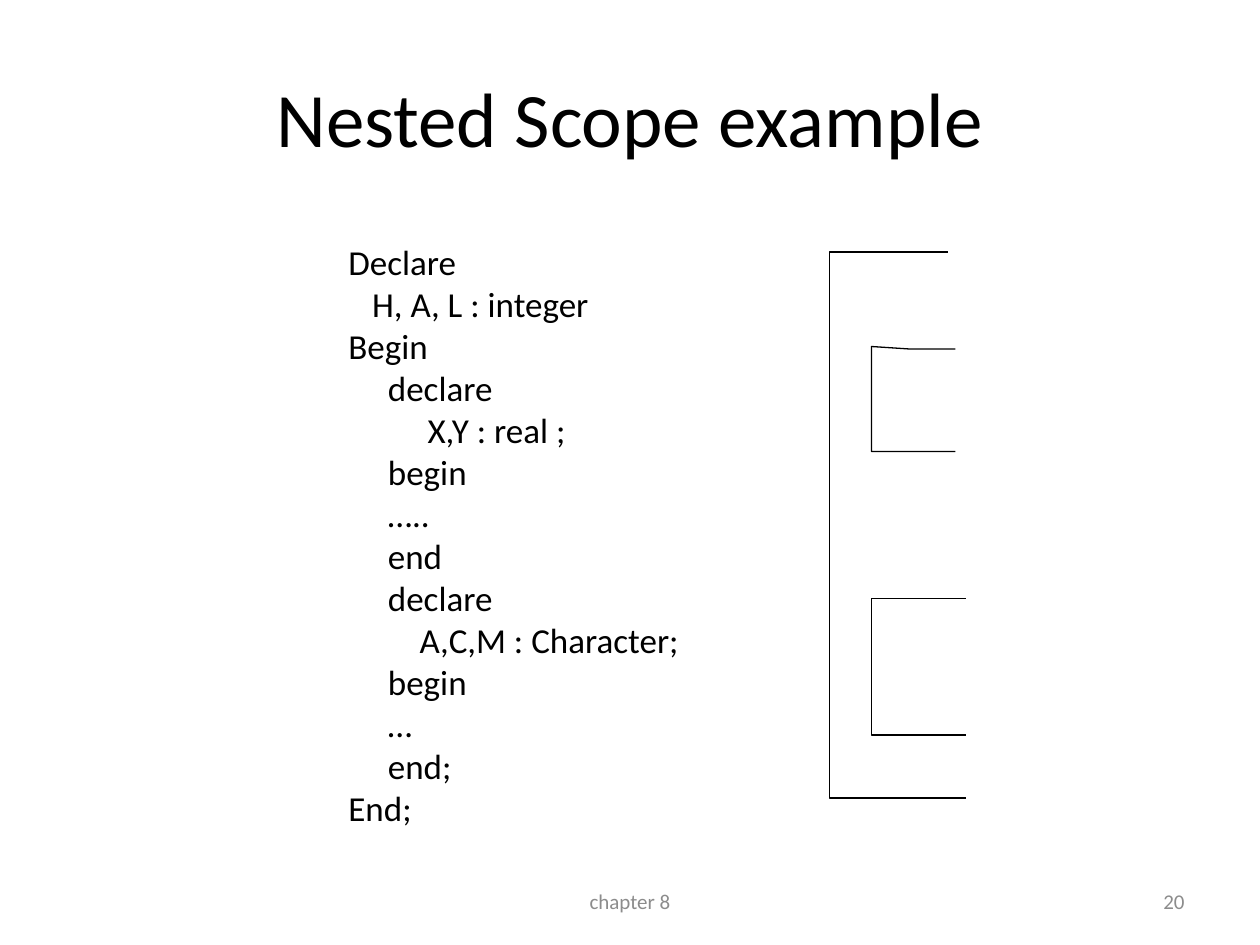
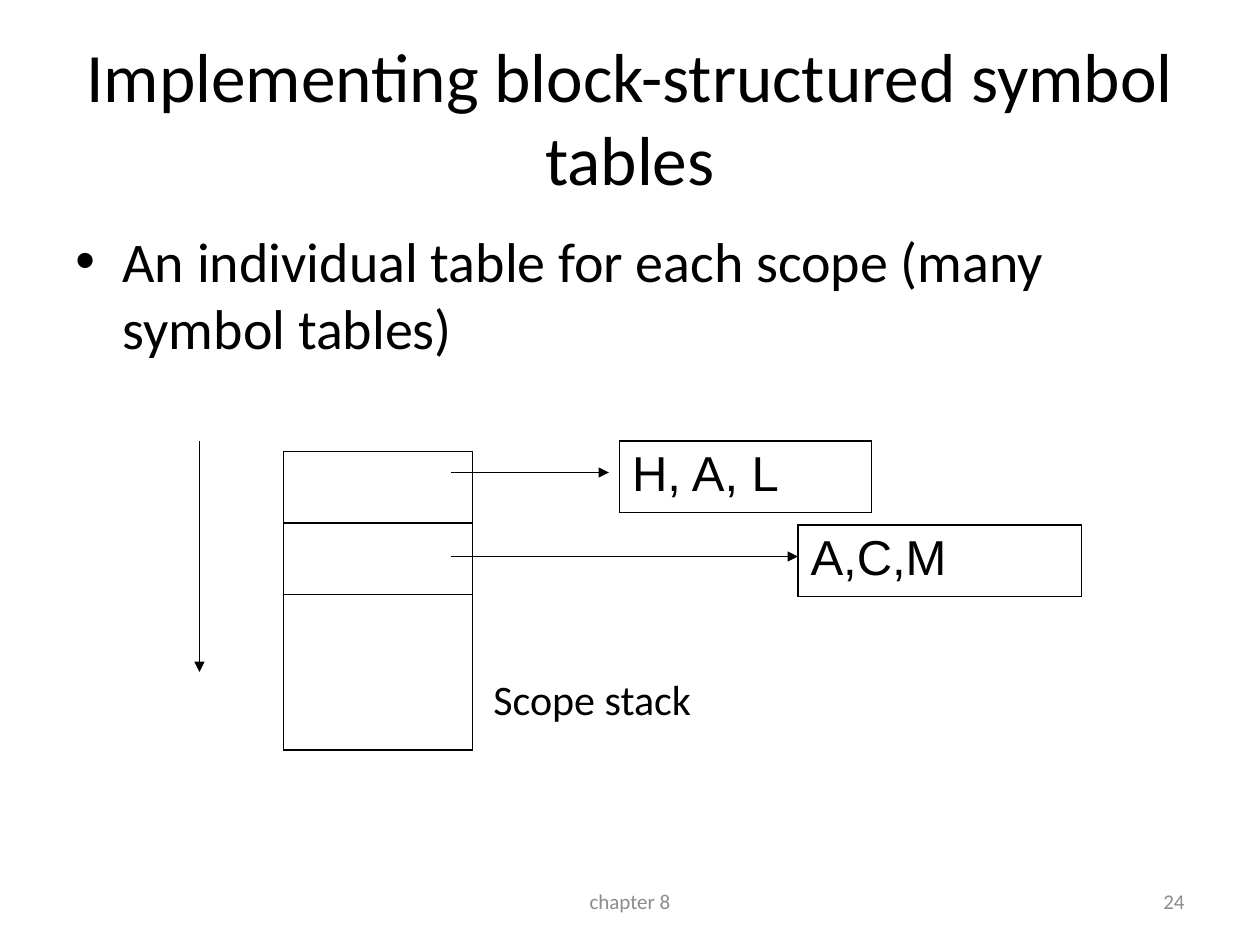
import dataclasses

import lxml.etree
import pptx
import pptx.dml.color
import pptx.enum.text
import pptx.oxml.ns
import pptx.util

qn = pptx.oxml.ns.qn
Pt = pptx.util.Pt
ALIGN = pptx.enum.text.PP_ALIGN
ANCHOR = pptx.enum.text.MSO_ANCHOR

COLUMNS, ROWS = 120, 90  # grid of the slide, square cells
CELL = pptx.util.Inches(10) // COLUMNS


@dataclasses.dataclass(frozen=True)
class Theme:
    ink: str = "000000"
    muted: str = "8C8C8C"
    body_font: str = "Calibri"
    table_font: str = "Arial"
    title: float = 44
    long_title: float = 39.6
    bullet: float = 32
    table: float = 28
    label: float = 24
    code: float = 20
    footer: float = 12
    line: float = 0.75
    border: float = 1


THEME = Theme()


def grid(*lengths):
    return [round(length * CELL) for length in lengths]


def rgb(color):
    return pptx.dml.color.RGBColor.from_string(color)


def style(paragraph, size, color=THEME.ink, font=THEME.body_font, align=ALIGN.LEFT):
    paragraph.alignment = align
    paragraph.font.size = Pt(size)
    paragraph.font.name = font
    paragraph.font.color.rgb = rgb(color)


def add_text(slide, box, lines, size, anchor=ANCHOR.TOP, **look):
    """Write one paragraph per line and return the paragraphs."""
    frame = slide.shapes.add_textbox(*grid(*box)).text_frame
    frame.word_wrap = True
    frame.vertical_anchor = anchor
    frame.text = "\n".join(lines)
    for paragraph in frame.paragraphs:
        style(paragraph, size, **look)
    return frame.paragraphs


def add_frame(slide, title, number, title_size=THEME.title):
    """Title, footer and slide number."""
    middle = ANCHOR.MIDDLE
    add_text(slide, (6, 3.6, 108, 15), [title], title_size, middle, align=ALIGN.CENTER)
    for left, width, text, align in (
        (41, 38, "chapter 8", ALIGN.CENTER),
        (86, 28, str(number), ALIGN.RIGHT),
    ):
        add_text(slide, (left, 83.4, width, 4.8), [text], THEME.footer, middle,
                 color=THEME.muted, align=align)


def add_bullet(slide, box, text):
    paragraph = add_text(slide, box, [text], THEME.bullet)[0]
    paragraph.space_before = Pt(THEME.bullet * 0.2)
    properties = paragraph.runs[0]._r.getparent().get_or_add_pPr()
    hanging = grid(4.5)[0]
    properties.set("marL", str(hanging))
    properties.set("indent", str(-hanging))
    lxml.etree.SubElement(properties, qn("a:buFont"), typeface="Arial")
    lxml.etree.SubElement(properties, qn("a:buChar"), char="•")


def add_code(slide, box, code):
    """Write (indent in spaces, text) lines, indented by paragraph margin."""
    space = Pt(THEME.code * 0.226)
    paragraphs = add_text(slide, box, [text for _, text in code], THEME.code)
    for paragraph, (indent, _) in zip(paragraphs, code):
        paragraph._p.get_or_add_pPr().set("marL", str(indent * space))


def add_bracket(slide, box, top_arm=None):
    """Bracket open to the right; top_arm holds points before the top corner."""
    left, top, width, height = box
    points = [*(top_arm or [(width, 0)]), (0, 0), (0, height), (width, height)]
    start, *rest = [grid(left + x, top + y) for x, y in points]
    builder = slide.shapes.build_freeform(*start)
    builder.add_line_segments(rest, close=False)
    bracket = builder.convert_to_shape()
    bracket.shadow.inherit = False
    bracket.fill.background()
    bracket.line.color.rgb = rgb(THEME.ink)
    bracket.line.width = Pt(THEME.line)


def add_arrow(slide, start, end):
    arrow = slide.shapes.add_connector(1, *grid(*start, *end))
    arrow.line.color.rgb = rgb(THEME.ink)
    arrow.line.width = Pt(THEME.line)
    lxml.etree.SubElement(arrow.line._get_or_add_ln(), qn("a:tailEnd"), type="triangle")
    lxml.etree.SubElement(arrow._element.spPr, qn("a:effectLst"))


def add_borders(cell):
    properties = cell._tc.get_or_add_tcPr()
    for position, side in enumerate("LRTB"):
        border = lxml.etree.Element(qn(f"a:ln{side}"), w=str(Pt(THEME.border)))
        fill = lxml.etree.SubElement(border, qn("a:solidFill"))
        lxml.etree.SubElement(fill, qn("a:srgbClr"), val=THEME.ink)
        properties.insert(position, border)


def add_column_table(slide, left, top, width, entries):
    """One-column table of (row height, text) entries."""
    height = sum(row_height for row_height, _ in entries)
    table = slide.shapes.add_table(len(entries), 1, *grid(left, top, width, height)).table
    table.first_row = table.horz_banding = False
    for row, (row_height, text) in zip(table.rows, entries):
        row.height = grid(row_height)[0]
        cell = row.cells[0]
        cell.text = text
        cell.fill.background()
        style(cell.text_frame.paragraphs[0], THEME.table, font=THEME.table_font)
        add_borders(cell)


def add_scope_brackets(slide, left, top):
    add_bracket(slide, (left, top, 13, 52), [(11.25, 0)])
    inner = left + 4
    add_bracket(slide, (inner, top + 9, 8, 10), [(8, 0.25), (3.75, 0.25)])
    add_bracket(slide, (inner, top + 33, 9, 13))


def add_scope_stack(slide, left, top):
    """Stack with its growth arrow, label and the tables it points to."""
    slot = 6.4
    add_arrow(slide, (left, top), (left, top + 22))
    add_column_table(slide, left + 8, top + 1, 18, [(slot, ""), (slot, ""), (14.8, "")])
    for row, (table_left, width, names, arrow_end) in enumerate((
        (left + 40, 24, "H, A, L", left + 39),
        (left + 57, 27, "A,C,M", left + 57),
    )):
        row_top = top + 8 * row
        add_column_table(slide, table_left, row_top, width, [(slot, names)])
        add_arrow(slide, (left + 24, row_top + 3), (arrow_end, row_top + 3))
    add_text(slide, (left + 26.8, top + 21.6, 22.5, 6), ["Scope stack"], THEME.label)


def build_nested_scope(slide):
    add_frame(slide, "Nested Scope example", 20)
    add_code(slide, (32, 22.3, 35.7, 57.2), [
        (0, "Declare"),
        (3, "H, A, L : integer"),
        (0, "Begin"),
        (5, "declare"),
        (10, "X,Y : real ;"),
        (5, "begin"),
        (5, "….."),
        (5, "end"),
        (5, "declare"),
        (9, "A,C,M : Character;"),
        (5, "begin"),
        (5, "…"),
        (5, "end;"),
        (0, "End;"),
    ])
    add_scope_brackets(slide, 79, 24)


def build_symbol_tables(slide):
    add_frame(slide, "Implementing block-structured symbol tables", 24, THEME.long_title)
    add_bullet(slide, (6, 21, 108, 59.4),
               "An individual table for each scope (many symbol tables)")
    add_scope_stack(slide, 19, 42)


def main():
    deck = pptx.Presentation()
    deck.slide_width, deck.slide_height = grid(COLUMNS, ROWS)
    blank = deck.slide_layouts[6]
    for build in (build_nested_scope, build_symbol_tables):
        build(deck.slides.add_slide(blank))
    deck.save("out.pptx")


if __name__ == "__main__":
    main()
